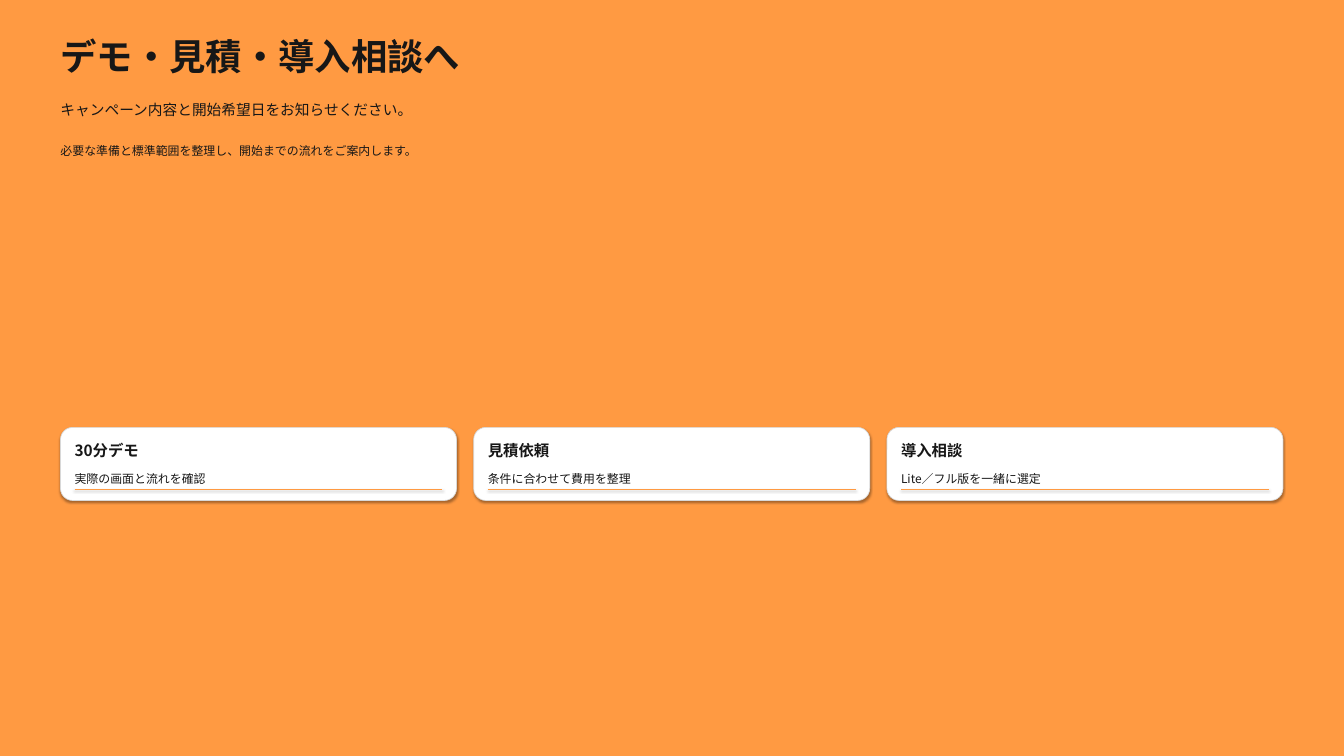
from lxml import etree
from pptx import Presentation
from pptx.dml.color import RGBColor
from pptx.enum import shapes, text
from pptx.oxml.ns import qn
from pptx.util import Inches, Pt

ORANGE = RGBColor(0xFF, 0x9A, 0x42)
INK = RGBColor(0x17, 0x17, 0x17)
WHITE = RGBColor(0xFF, 0xFF, 0xFF)
BORDER = RGBColor(0xD8, 0xD8, 0xD8)
FONT = "Noto Sans CJK KR"

# Text formats
TITLE = {"size": Pt(52), "bold": True}
LEAD = {"size": Pt(21), "bold": False}
CARD_HEAD = {"size": Pt(22), "bold": True}
SMALL = {"size": Pt(17), "bold": False}

# Card row
LEFT, TOP = 1.2, 8.48
CARD_W, CARD_H = 7.86, 1.45
PITCH, PAD = 8.2, 0.28
CARDS = [
    ("30分デモ", "実際の画面と流れを確認"),
    ("見積依頼", "条件に合わせて費用を整理"),
    ("導入相談", "Lite／フル版を一緒に選定"),
]


def place(sp, x, y, w, h):
    sp.left, sp.top, sp.width, sp.height = map(Inches, (x, y, w, h))


def write(sp, content, fmt):
    """Fill a text frame with one left-aligned paragraph at its top."""
    tf = sp.text_frame
    frame = {"word_wrap": True, "auto_size": text.MSO_AUTO_SIZE.NONE,
             "vertical_anchor": text.MSO_ANCHOR.TOP, "margin_left": 0,
             "margin_top": 0, "margin_right": 0, "margin_bottom": 0}
    for name, value in frame.items():
        setattr(tf, name, value)
    p = tf.paragraphs[0]
    p.alignment = text.PP_ALIGN.LEFT
    p.space_before = Pt(0)
    if sp.is_placeholder:
        pPr = p._p.get_or_add_pPr()
        pPr.set("marL", "0")
        pPr.set("indent", "0")
        etree.SubElement(pPr, qn("a:buNone"))
    r = p.add_run()
    r.text = content
    for name, value in {"name": FONT, **fmt}.items():
        setattr(r.font, name, value)
    r.font.color.rgb = INK
    etree.SubElement(r._r.get_or_add_rPr(), qn("a:ea"), typeface=FONT)


def add_text(s, x, y, w, h, content, fmt):
    sp = s.shapes.add_textbox(*map(Inches, (x, y, w, h)))
    write(sp, content, fmt)


def add_shadow(sp, distance, opacity):
    """Soft black shadow falling straight down."""
    effects = etree.SubElement(sp._element.spPr, qn("a:effectLst"))
    shadow = etree.SubElement(effects, qn("a:outerShdw"), blurRad=str(Pt(3.1)),
                              dist=str(Pt(distance)), dir="5400000", rotWithShape="0")
    color = etree.SubElement(shadow, qn("a:srgbClr"), val="000000")
    etree.SubElement(color, qn("a:alpha"), val=str(opacity * 1000))


def add_card(s, x, head, detail):
    sp = s.shapes.add_shape(shapes.MSO_SHAPE.ROUNDED_RECTANGLE,
                            *map(Inches, (x, TOP, CARD_W, CARD_H)))
    sp.fill.solid()
    sp.fill.fore_color.rgb = WHITE
    sp.line.color.rgb = BORDER
    sp.line.width = Pt(1)
    add_shadow(sp, 1.8, 35)

    inner_x, inner_w = x + PAD, CARD_W - 2 * PAD
    add_text(s, inner_x, TOP + PAD, inner_w, 0.46, head, CARD_HEAD)
    add_text(s, inner_x, TOP + 0.87, inner_w, 0.3, detail, SMALL)

    y = TOP + 1.24
    rule = s.shapes.add_connector(shapes.MSO_CONNECTOR.STRAIGHT,
                                  *map(Inches, (inner_x, y, inner_x + inner_w, y)))
    rule.line.color.rgb = ORANGE
    rule.line.width = Pt(1.5)
    add_shadow(rule, 1.6, 38)


def main():
    prs = Presentation()
    prs.slide_width, prs.slide_height = Inches(26.67), Inches(15)
    s = prs.slides.add_slide(prs.slide_layouts[1])
    s.background.fill.solid()
    s.background.fill.fore_color.rgb = ORANGE

    # Heading
    title, body = s.shapes.title, s.placeholders[1]
    place(title, LEFT, 0.68, 24.27, 1.16)
    write(title, "デモ・見積・導入相談へ", TITLE)
    place(body, LEFT, 2, 24.27, 0.61)
    write(body, "キャンペーン内容と開始希望日をお知らせください。", LEAD)
    add_text(s, LEFT, 2.85, 19.9, 0.9,
             "必要な準備と標準範囲を整理し、開始までの流れをご案内します。", SMALL)

    # Contact options
    for i, (head, detail) in enumerate(CARDS):
        add_card(s, LEFT + i * PITCH, head, detail)

    prs.save("out.pptx")


if __name__ == "__main__":
    main()
